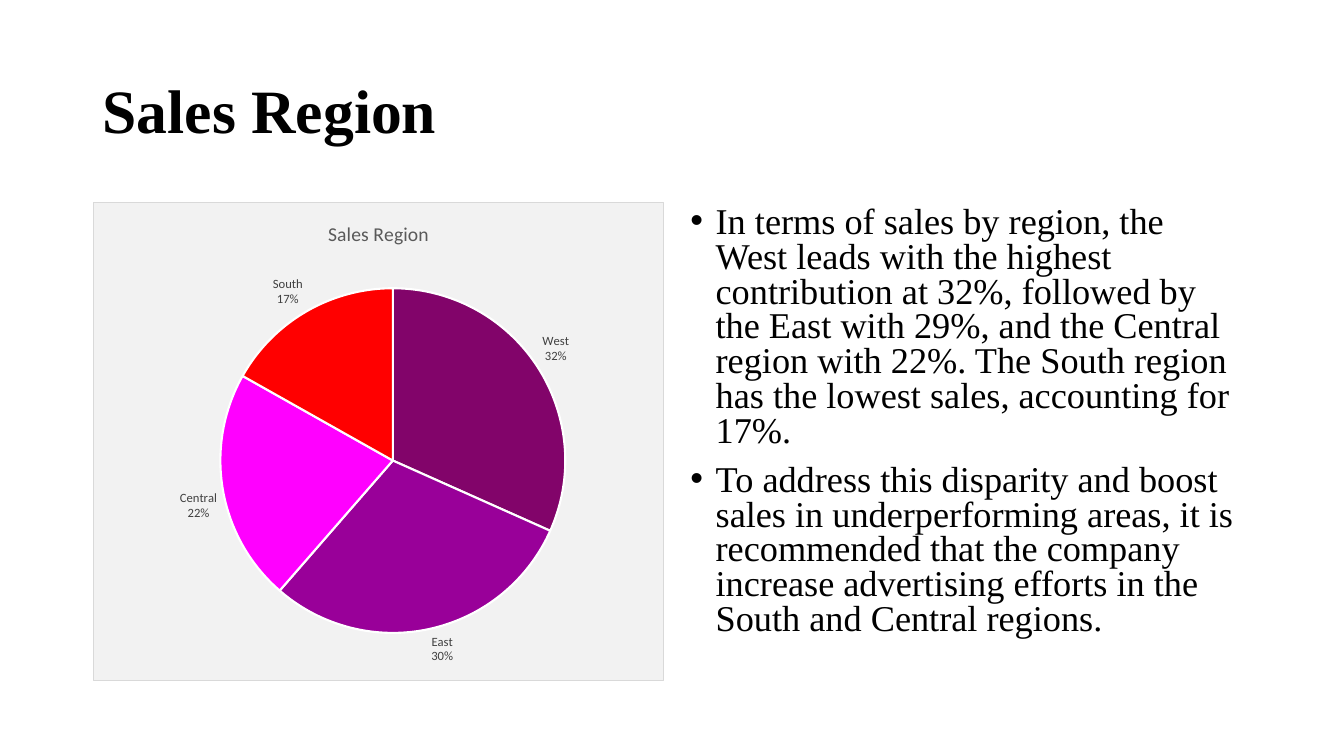
from lxml import etree
from pptx import Presentation
from pptx.chart.data import CategoryChartData
from pptx.dml.color import RGBColor
from pptx.enum.chart import XL_CHART_TYPE, XL_LABEL_POSITION
from pptx.enum.text import MSO_ANCHOR
from pptx.oxml import parse_xml
from pptx.oxml.ns import qn
from pptx.util import Inches, Pt

PIE = XL_CHART_TYPE.PIE
OUTSIDE = XL_LABEL_POSITION.OUTSIDE_END
TOP, MIDDLE = MSO_ANCHOR.TOP, MSO_ANCHOR.MIDDLE

HEADING = "Sales Region"
POINTS = [
    "In terms of sales by region, the West leads with the highest contribution at 32%, "
    "followed by the East with 29%, and the Central region with 22%. The South region has "
    "the lowest sales, accounting for 17%.",
    "To address this disparity and boost sales in underperforming areas, it is recommended "
    "that the company increase advertising efforts in the South and Central regions.",
]
REGIONS = [("West", 32), ("East", 30), ("Central", 22), ("South", 17)]
COLORS = {
    "West": "82046A", "East": "990099", "Central": "FF00FF", "South": "FF0000",
    "text": "000000", "title": "595959", "label": "404040",
    "panel": "F2F2F2", "border": "D9D9D9", "edge": "FFFFFF",
}
SERIF, SANS = "Times New Roman", "Calibri"
LEFT, WIDTH, GAP = 0.92, 5.67, 0.16
TOP_ROW, HEIGHT = 2, 4.76
PIE_BOX = {"x": 0.22, "y": 0.18, "w": 0.61, "h": 0.72}
NS = ('xmlns:c="http://schemas.openxmlformats.org/drawingml/2006/chart" '
      'xmlns:a="http://schemas.openxmlformats.org/drawingml/2006/main"')


def style(font, size, color, name, bold=False):
    font.size, font.name, font.bold = Pt(size), name, bold
    font.color.rgb = RGBColor.from_string(COLORS[color])


def add_text(slide, box, lines, size, anchor, spacing, bold=False):
    frame = slide.shapes.add_textbox(*map(Inches, box)).text_frame
    frame.word_wrap = True
    frame.vertical_anchor = anchor
    frame.text = "\n".join(lines)
    for para in frame.paragraphs:
        para.line_spacing = spacing
        style(para.runs[0].font, size, "text", SERIF, bold)
    return frame


def add_bullet(para):
    para.space_before = Pt(10)
    props = para._p.get_or_add_pPr()
    props.set("marL", str(Inches(0.25)))
    props.set("indent", str(-Inches(0.25)))
    etree.SubElement(props, qn("a:buFont")).set("typeface", "Arial")
    etree.SubElement(props, qn("a:buChar")).set("char", "•")


def add_pie(slide, box):
    data = CategoryChartData()
    data.categories = [name for name, share in REGIONS]
    data.add_series("Series 1", [share for name, share in REGIONS])
    chart = slide.shapes.add_chart(PIE, *map(Inches, box), data).chart
    style(chart.font, 10, "text", SANS)
    chart.has_legend = False
    chart.has_title = True
    title = chart.chart_title
    title.include_in_layout = False
    title.text_frame.text = HEADING
    style(title.text_frame.paragraphs[0].runs[0].font, 14, "title", SANS)

    series = chart.plots[0].series[0]
    for index, (name, share) in enumerate(REGIONS):
        form = series.points[index].format
        form.fill.solid()
        form.fill.fore_color.rgb = RGBColor.from_string(COLORS[name])
        form.line.color.rgb = RGBColor.from_string(COLORS["edge"])
        form.line.width = Pt(1.5)

    labels = series.data_labels
    labels.show_value = False
    labels.show_category_name = labels.show_percentage = True
    labels.number_format, labels.number_format_is_linked = "0%", False
    labels.position = OUTSIDE
    style(labels.font, 9, "label", SANS)
    mark = parse_xml(f"<c:separator {NS}>\n</c:separator>")
    labels._element.find(qn("c:showBubbleSize")).addnext(mark)
    frame_pie(chart)


def frame_pie(chart):
    root = chart._chartSpace
    plot = root.find(".//" + qn("c:plotArea"))
    for old in plot.findall(qn("c:layout")):
        plot.remove(old)
    sizes = "".join(f'<c:{key} val="{val}"/>' for key, val in PIE_BOX.items())
    plot.insert(0, parse_xml(
        f'<c:layout {NS}><c:manualLayout><c:layoutTarget val="inner"/>'
        f'<c:xMode val="edge"/><c:yMode val="edge"/>{sizes}</c:manualLayout></c:layout>'))
    fill, line = (f'<a:solidFill><a:srgbClr val="{COLORS[key]}"/></a:solidFill>'
                  for key in ("panel", "border"))
    root.find(qn("c:chart")).addnext(parse_xml(
        f'<c:spPr {NS}>{fill}<a:ln w="{Pt(0.75)}">{line}</a:ln></c:spPr>'))


def main():
    deck = Presentation()
    deck.slide_width, deck.slide_height = Inches(13.33), Inches(7.5)
    slide = deck.slides.add_slide(deck.slide_layouts[6])
    add_text(slide, (LEFT, 0.4, 2 * WIDTH + GAP, 1.45), [HEADING], 44, MIDDLE, 0.9, True)
    add_pie(slide, (LEFT, TOP_ROW, WIDTH, HEIGHT))
    body = add_text(slide, (LEFT + WIDTH + GAP, TOP_ROW, WIDTH, HEIGHT), POINTS, 25.9, TOP, 0.8)
    for para in body.paragraphs:
        add_bullet(para)
    deck.save("out.pptx")


if __name__ == "__main__":
    main()
